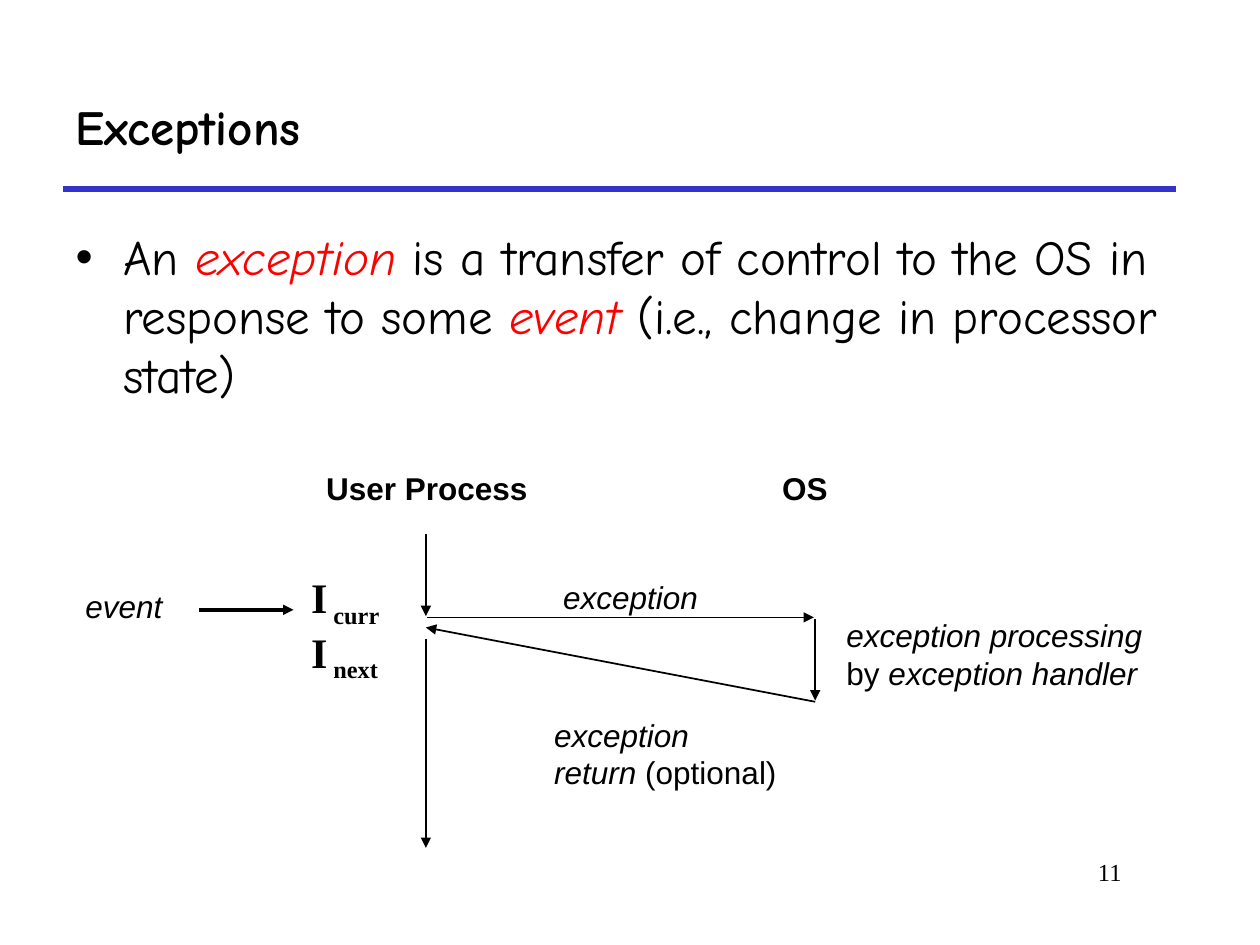
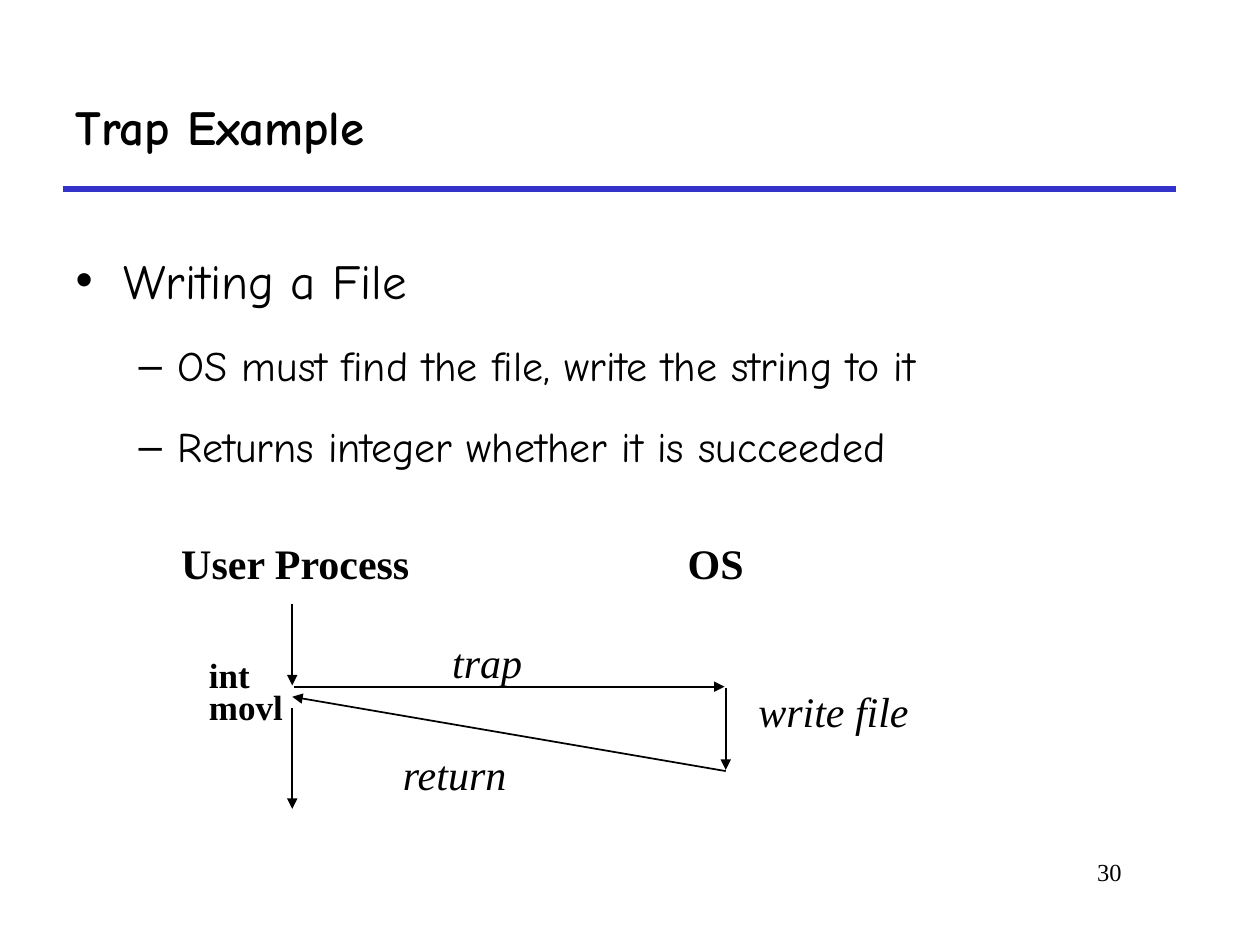
from dataclasses import dataclass

from lxml import etree
from pptx import Presentation
from pptx.dml.color import RGBColor
from pptx.enum.shapes import MSO_CONNECTOR
from pptx.enum.text import MSO_ANCHOR, MSO_AUTO_SIZE, PP_ALIGN
from pptx.oxml.ns import qn
from pptx.presentation import Presentation as Deck
from pptx.slide import Slide
from pptx.text.text import TextFrame, _Paragraph
from pptx.util import Inches, Pt

BLACK = RGBColor(0x00, 0x00, 0x00)
RED = RGBColor(0xFF, 0x00, 0x00)
RULE_BLUE = RGBColor(0x33, 0x33, 0xCC)
HEADING_FONT = "Comic Neue"
SANS = "Arial"
SERIF = "Times New Roman"

LEFT = PP_ALIGN.LEFT
RIGHT = PP_ALIGN.RIGHT
MIDDLE = MSO_ANCHOR.MIDDLE
NO_AUTOFIT = MSO_AUTO_SIZE.NONE
STRAIGHT = MSO_CONNECTOR.STRAIGHT

SUBSCRIPT = "-25000"
TITLE_AND_CONTENT = 1


@dataclass(frozen=True)
class Span:
    text: str
    bold: bool = False
    italic: bool = False
    color: RGBColor = BLACK
    subscript: bool = False


@dataclass(frozen=True)
class Label:
    left: float
    top: float
    width: float
    height: float
    lines: list[list[Span]]


@dataclass(frozen=True)
class Bullet:
    spans: list[Span]
    level: int = 0


@dataclass(frozen=True)
class BulletStyle:
    size: int
    margin: float
    hanging: float
    space_before: int


@dataclass(frozen=True)
class ControlFlow:
    """Where the user and OS lifelines stand, the call height and the end of the user line."""
    user_x: float
    os_x: float
    call_y: float
    end_y: float


BULLET_STYLES = [BulletStyle(28, 0.38, 0.38, 7), BulletStyle(24, 0.81, 0.31, 6)]


def bold(text: str) -> Span:
    return Span(text, bold=True)


def italic(text: str, color: RGBColor = BLACK) -> Span:
    return Span(text, italic=True, color=color)


def write_spans(para: _Paragraph, spans: list[Span], *, font: str, size: int) -> None:
    for span in spans:
        run = para.add_run()
        run.text = span.text
        run.font.name = font
        run.font.size = Pt(size)
        run.font.bold = span.bold
        run.font.italic = span.italic
        run.font.color.rgb = span.color
        if span.subscript:
            run._r.get_or_add_rPr().set("baseline", SUBSCRIPT)


def write_lines(frame: TextFrame, lines: list[list[Span]], *, font: str, size: int,
                align: PP_ALIGN = LEFT) -> None:
    for index, spans in enumerate(lines):
        para = frame.add_paragraph() if index else frame.paragraphs[0]
        para.alignment = align
        write_spans(para, spans, font=font, size=size)


def add_label(slide: Slide, label: Label, *, font: str, size: int,
              align: PP_ALIGN = LEFT) -> None:
    box = slide.shapes.add_textbox(Inches(label.left), Inches(label.top),
                                   Inches(label.width), Inches(label.height))
    frame = box.text_frame
    frame.word_wrap = True
    frame.auto_size = NO_AUTOFIT
    write_lines(frame, label.lines, font=font, size=size, align=align)


def add_line(slide: Slide, start: tuple[float, float], end: tuple[float, float], *,
             color: RGBColor = BLACK, weight: float = 1, arrow: bool = True) -> None:
    connector = slide.shapes.add_connector(
        STRAIGHT, Inches(start[0]), Inches(start[1]), Inches(end[0]), Inches(end[1]))
    connector.line.color.rgb = color
    connector.line.width = Pt(weight)
    if arrow:
        outline = connector.line._get_or_add_ln()
        etree.SubElement(outline, qn("a:tailEnd"), type="triangle")
    etree.SubElement(connector._element.spPr, qn("a:effectLst"))


def place(shape, left: float, top: float, width: float, height: float) -> None:
    shape.left, shape.top = Inches(left), Inches(top)
    shape.width, shape.height = Inches(width), Inches(height)


def add_page(deck: Deck, title: str, number: int) -> Slide:
    """Add a slide with the shared title, rule and page number."""
    slide = deck.slides.add_slide(deck.slide_layouts[TITLE_AND_CONTENT])
    add_line(slide, (0.5, 1.5), (9.33, 1.5), color=RULE_BLUE, weight=3, arrow=False)
    add_label(slide, Label(7.58, 6.75, 1.42, 0.5, [[Span(str(number))]]),
              font=SERIF, size=14, align=RIGHT)
    heading = slide.shapes.title
    place(heading, 0.5, 0.5, 8.83, 1)
    heading.text_frame.vertical_anchor = MIDDLE
    heading.text_frame.auto_size = NO_AUTOFIT
    write_lines(heading.text_frame, [[bold(title)]], font=HEADING_FONT, size=28)
    return slide


def fill_body(slide: Slide, bullets: list[Bullet], *, width: float, height: float,
              line_spacing: float = 1.0) -> None:
    body = slide.placeholders[1]
    place(body, 0.5, 1.75, width, height)
    frame = body.text_frame
    frame.auto_size = NO_AUTOFIT
    for index, bullet in enumerate(bullets):
        para = frame.add_paragraph() if index else frame.paragraphs[0]
        style = BULLET_STYLES[bullet.level]
        para.level = bullet.level
        properties = para._p.get_or_add_pPr()
        properties.set("marL", str(Inches(style.margin)))
        properties.set("indent", str(-Inches(style.hanging)))
        para.line_spacing = line_spacing
        para.space_before = Pt(style.space_before if index else 0)
        write_spans(para, bullet.spans, font=HEADING_FONT, size=style.size)


def draw_control_flow(slide: Slide, flow: ControlFlow) -> None:
    """Draw the call into the OS, its handling there and the way back."""
    user, system, call = flow.user_x, flow.os_x, flow.call_y
    add_line(slide, (user, call - 0.66), (user, call - 0.01))
    add_line(slide, (user + 0.01, call), (system - 0.01, call))
    add_line(slide, (system, call + 0.01), (system, call + 0.66))
    add_line(slide, (system, call + 0.67), (user, call + 0.08))
    add_line(slide, (user, call + 0.17), (user, flow.end_y))


def add_exceptions_page(deck: Deck) -> None:
    slide = add_page(deck, "Exceptions", 11)
    definition = [
        Span("An "), italic("exception", RED),
        Span(" is a transfer of control to the OS in response to some "),
        italic("event", RED), Span(" (i.e., change in processor state)"),
    ]
    fill_body(slide, [Bullet(definition)], width=8.92, height=1.67)
    draw_control_flow(slide, ControlFlow(user_x=3.38, os_x=6.47, call_y=4.9, end_y=6.73))
    add_line(slide, (1.58, 4.84), (2.33, 4.84), weight=2)

    labels = [
        Label(2.49, 3.67, 1.9, 0.4, [[bold("User Process")]]),
        Label(6.11, 3.67, 0.65, 0.4, [[bold("OS")]]),
        Label(4.37, 4.54, 1.35, 0.4, [[italic("exception")]]),
        Label(6.62, 4.84, 2.76, 1, [[italic("exception processing")],
                                    [Span("by "), italic("exception handler")]]),
        Label(4.3, 5.63, 2.05, 0.7, [[italic("exception")],
                                     [italic("return "), Span("(optional)")]]),
        Label(0.58, 4.61, 0.9, 0.4, [[italic("event")]]),
    ]
    for label in labels:
        add_label(slide, label, font=SANS, size=18)
    for top, position in [(4.49, "curr"), (4.92, "next")]:
        instruction = [bold("I"), Span(f" {position}", bold=True, subscript=True)]
        add_label(slide, Label(2.37, top, 0.85, 0.56, [instruction]), font=SERIF, size=24)


def add_trap_page(deck: Deck) -> None:
    slide = add_page(deck, "Trap Example", 30)
    bullets = [
        Bullet([Span("Writing a File")]),
        Bullet([Span("OS must find the file, write the string to it")], level=1),
        Bullet([Span("Returns integer whether it is succeeded")], level=1),
    ]
    fill_body(slide, bullets, width=8.75, height=2.08, line_spacing=1.4)
    draw_control_flow(slide, ControlFlow(user_x=2.32, os_x=5.76, call_y=5.45, end_y=6.42))

    labels = [
        Label(1.34, 4.22, 2.1, 0.5, [[bold("User Process")]]),
        Label(5.36, 4.22, 0.75, 0.5, [[bold("OS")]]),
        Label(3.49, 5, 0.85, 0.5, [[italic("trap")]]),
        Label(5.92, 5.39, 3.08, 0.9, [[italic("write file")]]),
        Label(3.1, 5.89, 1.1, 0.5, [[italic("return")]]),
    ]
    for label in labels:
        add_label(slide, label, font=SERIF, size=24)
    for top, instruction in [(5.14, "int"), (5.39, "movl")]:
        add_label(slide, Label(1.56, top, 0.9, 0.44, [[bold(instruction)]]),
                  font=SERIF, size=20)


def main() -> None:
    deck = Presentation()
    deck.slide_width, deck.slide_height = Inches(10), Inches(7.5)
    add_exceptions_page(deck)
    add_trap_page(deck)
    deck.save("out.pptx")


if __name__ == "__main__":
    main()
